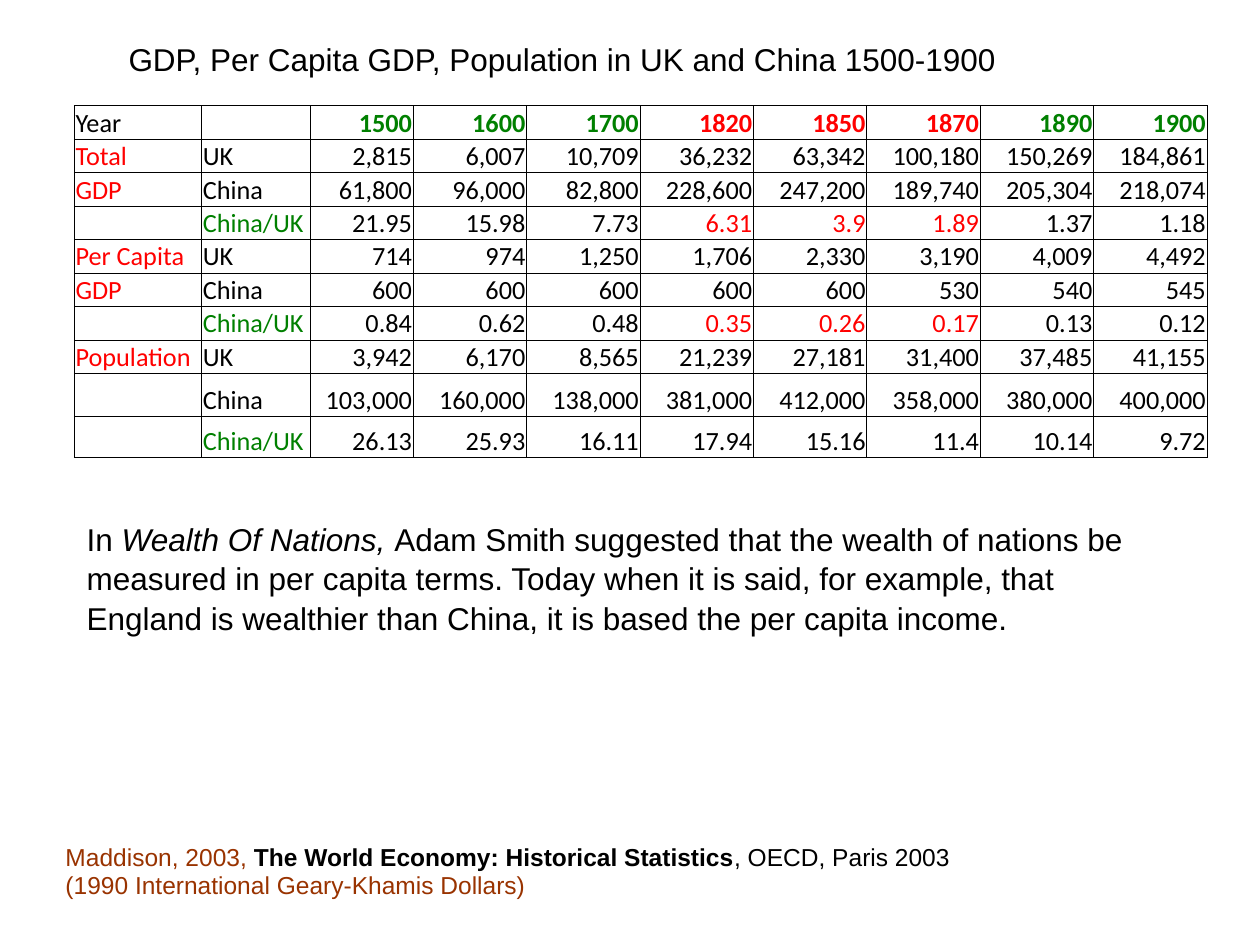
from lxml.etree import SubElement
from pptx import Presentation
from pptx.dml.color import RGBColor
from pptx.enum.text import MSO_ANCHOR, MSO_AUTO_SIZE, PP_ALIGN
from pptx.oxml.ns import qn
from pptx.util import Inches, Pt

COLORS = {"black": "000000", "green": "008000", "red": "FF0000", "brown": "993300"}


def write(paragraph, text, size=18, font="Arial", color="black", bold=False, italic=False):
    run = paragraph.add_run()
    run.text = text
    run.font.size = Pt(size)
    run.font.name = font
    run.font.bold = bold
    run.font.italic = italic
    run.font.color.rgb = RGBColor.from_string(COLORS[color])


def prepare_cell(cell, border=None):
    """Set tight margins, bottom anchoring, no fill and an optional border width."""
    cell.margin_left = cell.margin_top = cell.margin_right = Inches(0.01)
    cell.margin_bottom = 0
    cell.vertical_anchor = MSO_ANCHOR.BOTTOM
    properties = cell._tc.get_or_add_tcPr()
    for side in ("lnL", "lnR", "lnT", "lnB"):
        line = SubElement(properties, qn(f"a:{side}"), w=str(Pt(border or 0)))
        if border:
            fill = SubElement(line, qn("a:solidFill"))
            SubElement(fill, qn("a:srgbClr"), val=COLORS["black"])
        else:
            SubElement(line, qn("a:noFill"))
    cell.fill.background()


prs = Presentation()
prs.slide_width, prs.slide_height = Inches(10), Inches(7.5)
slide = prs.slides.add_slide(prs.slide_layouts[5])

# Title
title = slide.shapes.title
title.left, title.top, title.width, title.height = (
    Inches(0.5), Inches(0.3), Inches(9), Inches(0.54))
heading = title.text_frame
heading.auto_size = MSO_AUTO_SIZE.NONE
heading.vertical_anchor = MSO_ANCHOR.TOP
heading.margin_left = Inches(0.52)
heading.margin_top = Inches(0.02)
heading.paragraphs[0].alignment = PP_ALIGN.LEFT
write(heading.paragraphs[0], "GDP, Per Capita GDP, Population in UK and China 1500-1900")

# Comparison of UK and China
rows = [
    ["Year", "", "1500", "1600", "1700", "1820", "1850", "1870", "1890", "1900"],
    ["Total", "UK", "2,815", "6,007", "10,709", "36,232", "63,342", "100,180", "150,269", "184,861"],
    ["GDP", "China", "61,800", "96,000", "82,800", "228,600", "247,200", "189,740", "205,304", "218,074"],
    ["", "China/UK", "21.95", "15.98", "7.73", "6.31", "3.9", "1.89", "1.37", "1.18"],
    ["Per Capita", "UK", "714", "974", "1,250", "1,706", "2,330", "3,190", "4,009", "4,492"],
    ["GDP", "China", "600", "600", "600", "600", "600", "530", "540", "545"],
    ["", "China/UK", "0.84", "0.62", "0.48", "0.35", "0.26", "0.17", "0.13", "0.12"],
    ["Population", "UK", "3,942", "6,170", "8,565", "21,239", "27,181", "31,400", "37,485", "41,155"],
    ["", "China", "103,000", "160,000", "138,000", "381,000", "412,000", "358,000", "380,000", "400,000"],
    ["", "China/UK", "26.13", "25.93", "16.11", "17.94", "15.16", "11.4", "10.14", "9.72"],
]
column_widths = [1.01, 0.86, 0.82] + [0.9] * 7
row_heights = [0.26] * 8 + [0.34, 0.33]
turning_years = range(5, 8)  # 1820 to 1870
highlighted_rows = (0, 3, 6)

comparison = slide.shapes.add_table(
    len(rows), len(column_widths),
    Inches(0.59), Inches(0.84), Inches(8.98), Inches(2.76)).table
comparison.first_row = comparison.horz_banding = False
for column, width in zip(comparison.columns, column_widths):
    column.width = Inches(width)
for row, height in zip(comparison.rows, row_heights):
    row.height = Inches(height)

for r, values in enumerate(rows):
    for c, value in enumerate(values):
        cell = comparison.cell(r, c)
        prepare_cell(cell, border=0.5)
        paragraph = cell.text_frame.paragraphs[0]
        if not value:
            # Keep empty cells from stretching their row
            SubElement(paragraph._p, qn("a:endParaRPr"), sz="1500")
            continue
        if c >= 2:
            paragraph.alignment = PP_ALIGN.RIGHT
        is_year = r == 0 and c >= 2
        if (c in turning_years and r in highlighted_rows) or (c == 0 and r > 0):
            color = "red"
        elif is_year or value == "China/UK":
            color = "green"
        else:
            color = "black"
        write(paragraph, value, size=15, font="Calibri", color=color, bold=is_year)

# Source of the figures
citation = slide.shapes.add_table(
    1, 1, Inches(0.51), Inches(6.59), Inches(8.27), Inches(0.55)).table
citation.first_row = citation.horz_banding = False
prepare_cell(citation.cell(0, 0))
source = citation.cell(0, 0).text_frame.paragraphs[0]
write(source, "Maddison, 2003, ", size=14, color="brown")
write(source, "The World Economy: Historical Statistics", size=14, bold=True)
write(source, ", OECD, Paris 2003", size=14)
source.add_line_break()
write(source, "(1990 International Geary-Khamis Dollars)", size=14, color="brown")

# Remark on per capita wealth
remark = slide.shapes.add_textbox(
    Inches(0.59), Inches(4.06), Inches(8.74), Inches(1.01)).text_frame
remark.word_wrap = True
remark.auto_size = MSO_AUTO_SIZE.SHAPE_TO_FIT_TEXT
sentence = remark.paragraphs[0]
sentence.line_spacing = 1.05
write(sentence, "In ")
write(sentence, "Wealth Of Nations, ", italic=True)
write(sentence, "Adam Smith suggested that the wealth of nations be measured in per capita "
                "terms. Today when it is said, for example, that England is wealthier than "
                "China, it is based the per capita income.")

prs.save("out.pptx")
